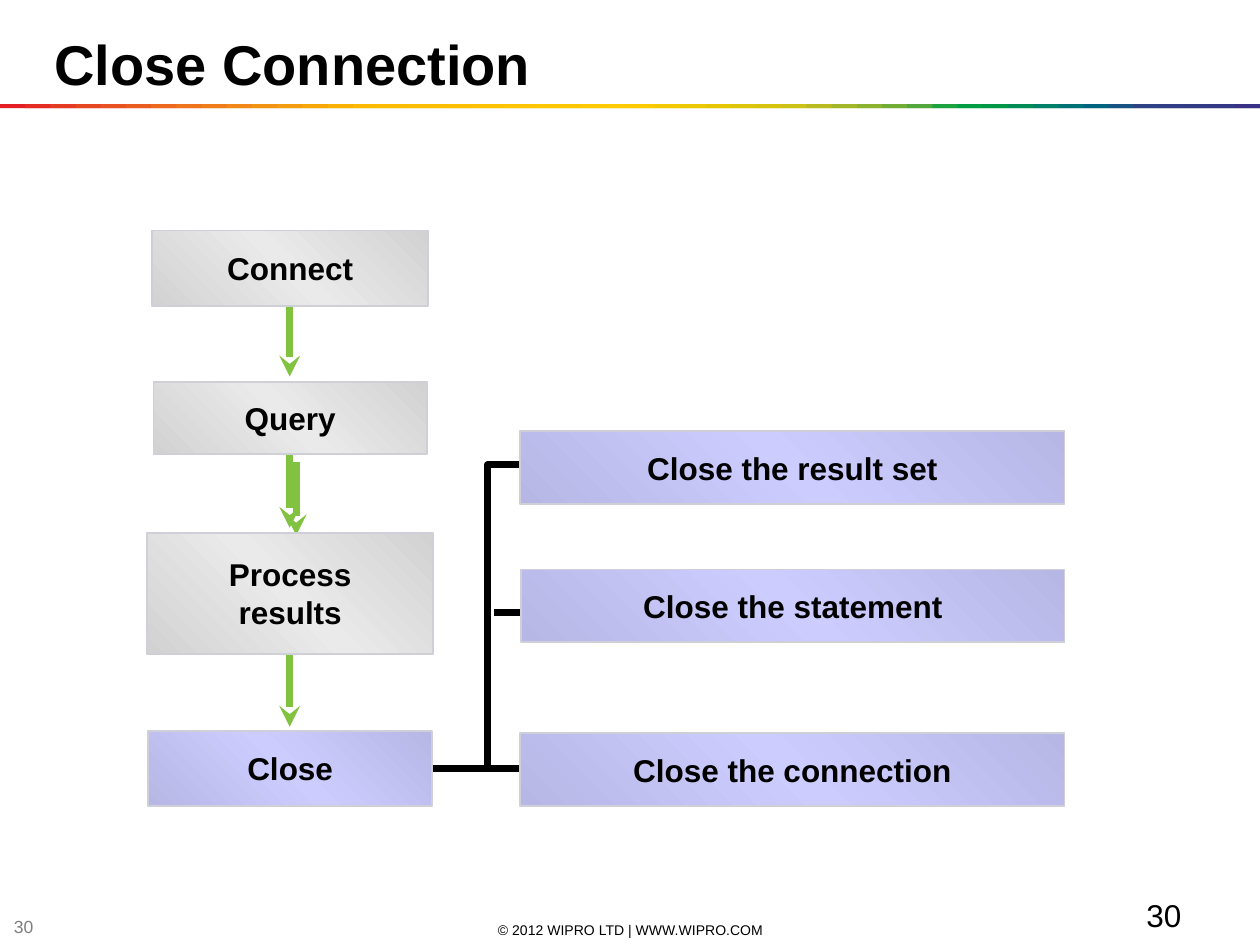
from copy import deepcopy
from pptx import Presentation
from pptx.dml.color import RGBColor as RGB
from pptx.enum.shapes import MSO_CONNECTOR as CONN, MSO_SHAPE as SHAPE
from pptx.enum.text import MSO_ANCHOR as ANCHOR, MSO_AUTO_SIZE as AUTO, PP_ALIGN as ALIGN
from pptx.oxml.xmlchemy import OxmlElement
from pptx.util import Cm, Pt

# Content (all lengths in cm)
TITLE = "Close Connection"
FLOW = [  # text, top, width, height, fill
    ("Connect", 4.65, 5.56, 1.52, "grey"),
    ("Query", 7.7, 5.51, 1.45, "grey"),
    ("Process\vresults", 10.74, 5.77, 2.44, "grey"),
    ("Close", 14.73, 5.72, 1.52, "lilac"),
]
STEPS = [  # text, top, width
    ("Close the result set", 8.69, 10.97),
    ("Close the statement", 11.48, 10.95),
    ("Close the connection", 14.78, 10.97),
]
ARROWS = [(5.97, 9.32), (5.84, 6.12), (5.84, 9.17), (5.84, 13.18)]  # x, top
BRANCHES = [(9.96, 11, 12.34), (8.26, 10.72, 15.49)]  # left, right, y
BRACKET = [(9.83, 15.52), (9.83, 9.37), (11.3, 9.37)]
LABELS = [  # text, left, top, width, height, format
    ("© 2012 WIPRO LTD | WWW.WIPRO.COM", 8.69, 18.54, 8.05, 0.41, "footer"),
    ("30", 0.03, 18.47, 0.99, 0.41, "number"),
    ("30", 22.86, 17.93, 2.44, 0.89, "page"),
]
RAINBOW = """
E31E24 E42C24 E53A24 E74623 E85122 EA5D21 EC691F EE741D EF7E1A F18817
F39314 F49C0F F6A607 F8B002 FBBA00 FBBB00 FBBD00 FCBF00 FCC000 FCC200
FDC400 FDC600 FDC700 FEC900 FECB00 FBCB00 F3CA00 ECC800 E4C602 DCC50A
D5C30E CCC117 B8BC21 A3B829 8CB230 71AD36 51A73B 1DA240 009D43 009846
008C57 008068 007275 00637F 185384 2E4285 313E85 333B85 353885 393185
""".split()

WIDTH, HEIGHT = 25.4, 19.05
FLOW_CENTER, STEP_RIGHT, STEP_HEIGHT = 5.85, 21.46, 1.47
ARROW_LENGTH = 1.47
BAR_TOP, BAR_HEIGHT = 2.1, 0.08

THEME = {
    "font": "Arial",
    "arrow": "81C240", "branch": "000000", "border": "CFD0D7",
    "grey": ("D2D2D2", "EAEAEA"), "lilac": ("B7B7E5", "CCCCFF"),
    "heavy": 4, "thin": 1,
    "title": {"size": 32, "bold": True, "color": "000000", "align": ALIGN.LEFT, "anchor": ANCHOR.MIDDLE},
    "box": {"size": 18, "bold": True, "color": "000000", "align": ALIGN.CENTER, "anchor": ANCHOR.MIDDLE},
    "footer": {"size": 8, "bold": False, "color": "000000", "align": ALIGN.CENTER, "anchor": ANCHOR.MIDDLE},
    "number": {"size": 10, "bold": False, "color": "7F7F7F", "align": ALIGN.LEFT, "anchor": ANCHOR.MIDDLE},
    "page": {"size": 18, "bold": False, "color": "000000", "align": ALIGN.LEFT, "anchor": ANCHOR.TOP},
}


def write(sp, text, style, wrap=True):
    f = THEME[style]
    tf = sp.text_frame
    for name, value in {"auto_size": AUTO.NONE, "word_wrap": wrap,
                        "vertical_anchor": f["anchor"]}.items():
        setattr(tf, name, value)
    p = tf.paragraphs[0]
    p.text, p.alignment = text, f["align"]
    for r in p.runs:
        for name, value in {"name": THEME["font"], "size": Pt(f["size"]), "bold": f["bold"]}.items():
            setattr(r.font, name, value)
        r.font.color.rgb = RGB.from_string(f["color"])


def stroke(line, color, width):
    line.color.rgb = RGB.from_string(color)
    line.width = Pt(width)


def add_rect(s, *at):
    sp = s.shapes.add_shape(SHAPE.RECTANGLE, *map(Cm, at))
    sp.shadow.inherit = False
    return sp


def add_box(s, text, left, top, width, height, tone):
    sp = add_rect(s, left, top, width, height)
    edge, middle = THEME[tone]
    sp.fill.gradient()
    sp.fill.gradient_angle = 45
    first = sp.fill._fill._gradFill.gsLst[0]
    first.addnext(deepcopy(first))
    for stop, position, color in zip(sp.fill.gradient_stops, (0, 0.5, 1), (edge, middle, edge)):
        stop.position = position
        stop.color.rgb = RGB.from_string(color)
    stroke(sp.line, THEME["border"], THEME["thin"])
    write(sp, text, "box", wrap=False)


def add_line(s, x1, y1, x2, y2, color, arrow=False):
    c = s.shapes.add_connector(CONN.STRAIGHT, *map(Cm, (x1, y1, x2, y2)))
    stroke(c.line, color, THEME["heavy"])
    if arrow:
        tail = OxmlElement("a:tailEnd")
        tail.set("type", "stealth")
        c.line._get_or_add_ln().append(tail)
    c._element.spPr.append(OxmlElement("a:effectLst"))


def main():
    prs = Presentation()
    prs.slide_width, prs.slide_height = Cm(WIDTH), Cm(HEIGHT)
    s = prs.slides.add_slide(prs.slide_layouts[5])

    # Title
    title = s.shapes.title
    title.left, title.top, title.width, title.height = map(Cm, (0.84, 0, 25.4, 2.54))
    write(title, TITLE, "title")

    # Rainbow rule: overlapping tiles, the last one cut at the slide edge
    step = WIDTH / len(RAINBOW)
    for i, color in enumerate(RAINBOW):
        left = i * step
        tile = add_rect(s, left, BAR_TOP, min(2 * step, WIDTH - left), BAR_HEIGHT)
        tile.fill.solid()
        tile.fill.fore_color.rgb = RGB.from_string(color)
        tile.line.fill.background()

    # Footer and numbers
    for text, *at, style in LABELS:
        write(s.shapes.add_textbox(*map(Cm, at)), text, style)

    # Arrows and branches
    for x, top in ARROWS:
        add_line(s, x, top, x, top + ARROW_LENGTH, THEME["arrow"], arrow=True)
    for left, right, y in BRANCHES:
        add_line(s, left, y, right, y, THEME["branch"])
    start, *rest = [(Cm(x), Cm(y)) for x, y in BRACKET]
    builder = s.shapes.build_freeform(*start)
    builder.add_line_segments(rest, close=False)
    bracket = builder.convert_to_shape()
    bracket.shadow.inherit = False
    bracket.fill.background()
    stroke(bracket.line, THEME["branch"], THEME["heavy"])

    # Boxes
    for text, top, width, height, tone in FLOW:
        add_box(s, text, FLOW_CENTER - width / 2, top, width, height, tone)
    for text, top, width in STEPS:
        add_box(s, text, STEP_RIGHT - width, top, width, STEP_HEIGHT, "lilac")

    prs.save("out.pptx")


if __name__ == "__main__":
    main()
